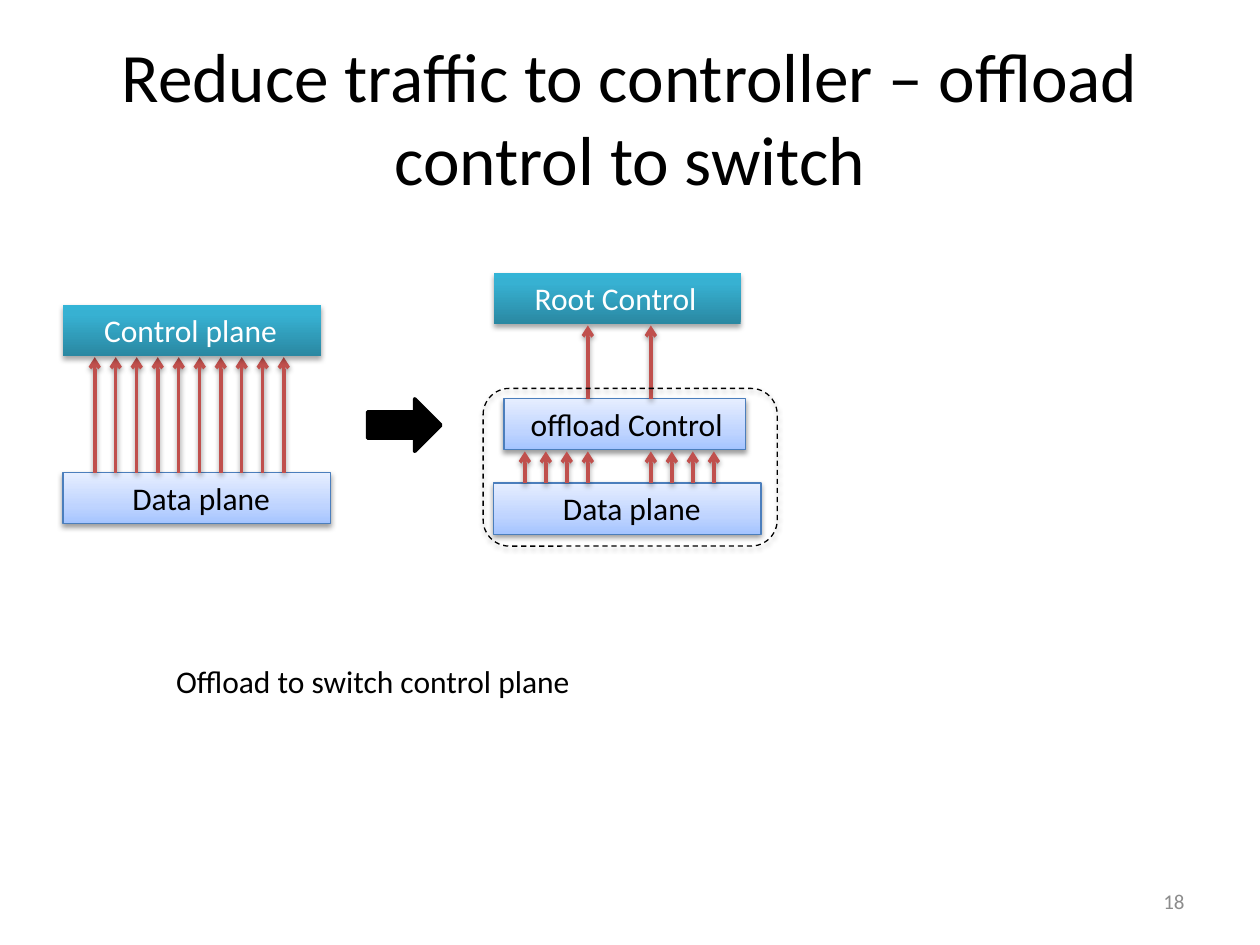
"""Builds a slide on moving control work from the controller to the switch."""
from lxml.etree import SubElement
from pptx import Presentation
from pptx.dml.color import RGBColor
from pptx.enum.dml import MSO_LINE
from pptx.enum.shapes import MSO_CONNECTOR, MSO_SHAPE
from pptx.enum.text import MSO_ANCHOR, MSO_AUTO_SIZE, PP_ALIGN
from pptx.oxml.ns import qn
from pptx.util import Cm, Pt

FONT = "Calibri"
COLORS = {
    "black": "000000",
    "white": "FFFFFF",
    "page number": "8C8C8C",
    "traffic": "C0504D",
    "plane line": "4B7EBC",
}
SWITCH_STOPS = [(0, "A4C4FF"), (35, "BFD4FF"), (100, "E6EEFF")]
CONTROLLER_STOPS = [(0, "2A88A2"), (80, "37B1D2"), (100, "34B4D6")]
BOX_HEIGHT = 1.03
ARROW_GAP = 2.54 / 6


def rgb(name):
    return RGBColor.from_string(COLORS[name])


def add_shadow(shape, opacity=38, distance=1.6):
    properties = shape._element.spPr
    effects = properties.find(qn("a:effectLst"))
    if effects is None:
        effects = SubElement(properties, qn("a:effectLst"))
    shadow = SubElement(
        effects, qn("a:outerShdw"), blurRad=str(Pt(3.1)), dist=str(Pt(distance)),
        dir="5400000", rotWithShape="0")
    color = SubElement(shadow, qn("a:srgbClr"), val=COLORS["black"])
    SubElement(color, qn("a:alpha"), val=str(opacity * 1000))


def fill_gradient(shape, stops):
    shape.fill.gradient()
    shape.fill.gradient_angle = 90
    stop_list = shape._element.spPr.find(qn("a:gradFill")).find(qn("a:gsLst"))
    for stop in list(stop_list):
        stop_list.remove(stop)
    for position, color in stops:
        stop = SubElement(stop_list, qn("a:gs"), pos=str(position * 1000))
        SubElement(stop, qn("a:srgbClr"), val=color)


def write(frame, text, size, color, align=PP_ALIGN.LEFT, anchor=MSO_ANCHOR.TOP):
    frame.text = text
    frame.word_wrap = True
    frame.auto_size = MSO_AUTO_SIZE.NONE
    frame.vertical_anchor = anchor
    paragraph = frame.paragraphs[0]
    paragraph.alignment = align
    paragraph.font.name = FONT
    paragraph.font.size = Pt(size)
    paragraph.font.color.rgb = rgb(color)


def add_title(slide, text):
    title = slide.shapes.title
    title.left, title.top, title.width, title.height = Cm(1.27), Cm(0.76), Cm(22.86), Cm(3.18)
    write(title.text_frame, text, 39.6, "black", PP_ALIGN.CENTER, MSO_ANCHOR.MIDDLE)


def add_text(slide, text, left, top, width, size, color, **layout):
    box = slide.shapes.add_textbox(Cm(left), Cm(top), Cm(width), Cm(BOX_HEIGHT))
    write(box.text_frame, text, size, color, **layout)


def add_shape(slide, kind, left, top, width, height):
    shape = slide.shapes.add_shape(kind, Cm(left), Cm(top), Cm(width), Cm(height))
    shape.shadow.inherit = False
    return shape


def add_plane(slide, text, left, top, width, indent, controller=False):
    plane = add_shape(slide, MSO_SHAPE.RECTANGLE, left, top, width, BOX_HEIGHT)
    if controller:
        fill_gradient(plane, CONTROLLER_STOPS)
        plane.line.fill.background()
        add_shadow(plane, 35, 1.8)
    else:
        fill_gradient(plane, SWITCH_STOPS)
        plane.line.color.rgb = rgb("plane line")
        plane.line.width = Pt(0.75)
        add_shadow(plane)
    write(plane.text_frame, text, 18, "white" if controller else "black")
    plane.text_frame.margin_left = Cm(indent)
    plane.text_frame.margin_right = 0


def add_traffic(slide, left, bottom, top, count, gap=ARROW_GAP):
    for index in range(count):
        x = Cm(left + index * gap)
        arrow = slide.shapes.add_connector(MSO_CONNECTOR.STRAIGHT, x, Cm(bottom), x, Cm(top))
        arrow.line.color.rgb = rgb("traffic")
        arrow.line.width = Pt(2)
        SubElement(arrow.line._get_or_add_ln(), qn("a:tailEnd"), type="arrow")
        add_shadow(arrow)


def add_step_arrow(slide):
    arrow = add_shape(slide, MSO_SHAPE.RIGHT_ARROW, 7.41, 8.04, 1.48, 1.06)
    arrow.fill.solid()
    arrow.fill.fore_color.rgb = rgb("black")
    arrow.line.color.rgb = rgb("black")
    arrow.line.width = Pt(2)


def add_switch_outline(slide):
    outline = add_shape(slide, MSO_SHAPE.ROUNDED_RECTANGLE, 9.74, 7.83, 5.93, 3.18)
    outline.fill.background()
    outline.line.color.rgb = rgb("black")
    outline.line.width = Pt(0.75)
    outline.line.dash_style = MSO_LINE.DASH
    add_shadow(outline)


def main():
    presentation = Presentation()
    presentation.slide_width, presentation.slide_height = Cm(25.4), Cm(19.05)
    slide = presentation.slides.add_slide(presentation.slide_layouts[5])
    add_title(slide, "Reduce traffic to controller – offload control to switch")
    add_text(slide, "18", 18.2, 17.66, 5.93, 12, "page number",
             align=PP_ALIGN.RIGHT, anchor=MSO_ANCHOR.MIDDLE)

    add_plane(slide, "Data plane", 1.27, 9.53, 5.39, 1.4)
    add_traffic(slide, 1.91, 9.53, 7.2, 10)
    add_plane(slide, "Control plane", 1.27, 6.14, 5.2, 0.83, controller=True)
    add_step_arrow(slide)

    add_plane(slide, "Data plane", 9.95, 9.74, 5.39, 1.4)
    add_plane(slide, "Root Control", 9.95, 5.5, 4.98, 0.83, controller=True)
    add_plane(slide, "offload Control", 10.16, 8.04, 4.87, 0.54)
    for left in (10.58, 13.12):
        add_traffic(slide, left, 9.74, 9.1, 4)
    add_traffic(slide, 11.85, 8.04, 6.56, 2, gap=3 * ARROW_GAP)
    add_switch_outline(slide)

    add_text(slide, "Offload to switch control plane", 3.3, 13.23, 8.9, 18, "black")
    presentation.save("out.pptx")


if __name__ == "__main__":
    main()
